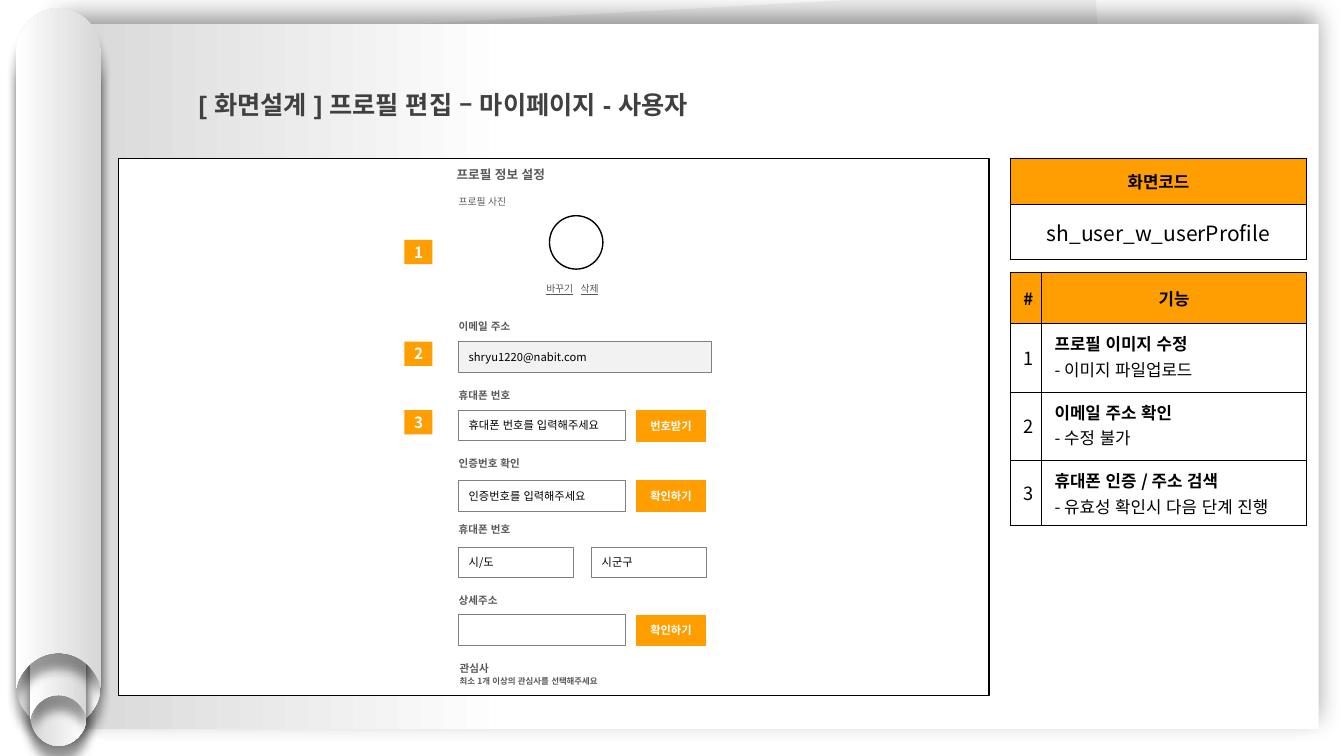
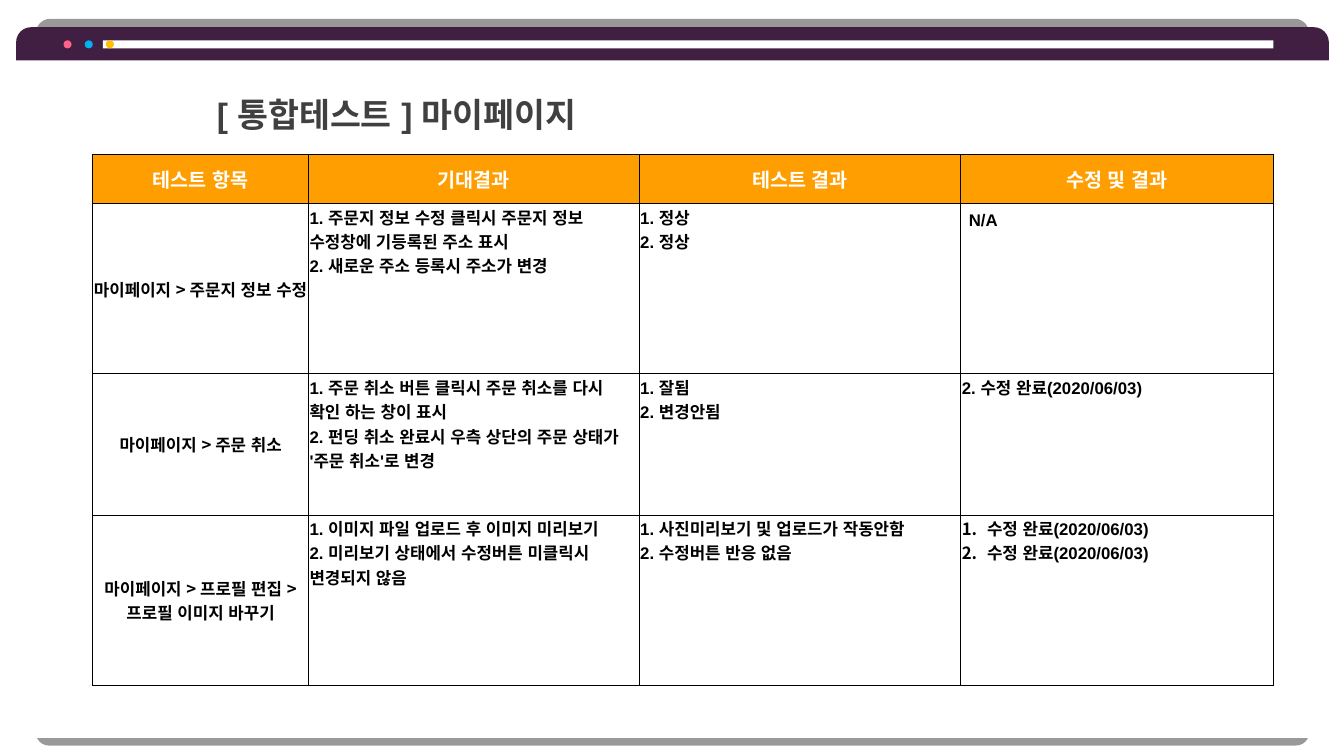
from lxml.etree import SubElement
from pptx import Presentation
from pptx.dml.color import RGBColor
from pptx.enum.shapes import MSO_SHAPE as Kind
from pptx.enum.text import MSO_ANCHOR as Anchor, MSO_AUTO_SIZE as Fit, PP_ALIGN as Align
from pptx.oxml.ns import qn
from pptx.util import Inches, Pt

BLACK = RGBColor(0, 0, 0)
WHITE = RGBColor(255, 255, 255)
ORANGE = RGBColor(0xFF, 0x9E, 0x00)
PALE = RGBColor(0xF2, 0xF2, 0xF2)
SILVER = RGBColor(0xD7, 0xD7, 0xD7)
GRAY = RGBColor(0x80, 0x80, 0x80)
SLATE = RGBColor(0x59, 0x59, 0x59)
DARK = RGBColor(0x40, 0x40, 0x40)
PLUM = RGBColor(0x41, 0x1F, 0x42)
PINK = RGBColor(0xFF, 0x61, 0x89)
BLUE = RGBColor(0x00, 0xB0, 0xF0)
GOLD = RGBColor(0xFF, 0xC0, 0x00)
NOTO = "Noto Sans CJK KR"


def write(frame, text, size=12, color=BLACK, bold=False, align=Align.LEFT,
          face=NOTO, under=False, space=None, number=False):
    for i, line in enumerate(text.split("\n")):
        para = frame.add_paragraph() if i else frame.paragraphs[0]
        para.alignment = align
        props = para._p.get_or_add_pPr()
        if number:
            props.set("marL", str(Inches(0.25)))
            props.set("indent", str(-Inches(0.25)))
            SubElement(props, qn("a:buFont"), typeface="+mj-lt")
            SubElement(props, qn("a:buAutoNum"), type="arabicPeriod")
        if "\t" in line:
            tabs = SubElement(props, qn("a:tabLst"))
            SubElement(tabs, qn("a:tab"), pos=str(Inches(0.34)), algn="l")
        if space:
            para.line_spacing = space
        for part in filter(None, line.partition("\t")):
            run = para.add_run()
            run.text = part
            font = run.font
            font.size, font.bold = Pt(size), bold
            font.underline = under and part != "\t"
            font.color.rgb = color
            font.name = face
            mark = run._r.get_or_add_rPr()
            mark.set("lang", "ko-KR")
            mark.set("kern", "0")
            SubElement(mark, qn("a:ea"), typeface=NOTO)


def paint(shape, fill, line=None, width=1, shade=None):
    if isinstance(fill, list):
        shape.fill.gradient()
        shape.fill.gradient_angle = 180
        for stop, (place, color) in zip(shape.fill.gradient_stops, fill):
            stop.position = place
            stop.color.rgb = color
    else:
        shape.fill.solid()
        shape.fill.fore_color.rgb = fill
    if line is None:
        shape.line.fill.background()
    else:
        shape.line.color.rgb = line
        shape.line.width = Pt(width)
    shape.shadow.inherit = False
    if shade:
        blur, dist, turn, scale = shade
        effect = shape._element.spPr.find(qn("a:effectLst"))
        outer = SubElement(effect, qn("a:outerShdw"), blurRad=str(Pt(blur)),
                           dist=str(Pt(dist)), dir=str(turn * 60000),
                           sx=str(scale * 1000), sy=str(scale * 1000),
                           algn="t", rotWithShape="0")
        tint = SubElement(outer, qn("a:srgbClr"), val=str(BLACK))
        SubElement(tint, qn("a:alpha"), val="40000")
    return shape


deck = Presentation()
deck.slide_width, deck.slide_height = Inches(13.33), Inches(7.5)
pages = [deck.slides.add_slide(deck.slide_layouts[5]) for _ in range(2)]
form, test = [page.shapes for page in pages]

back = paint(form.add_shape(Kind.RECTANGLE, *map(Inches, (0.91, 0.14, 10.15, 6.8))), PALE)
back.rotation = 356.8
paint(form.add_shape(Kind.RECTANGLE, *map(Inches, (0.58, 0.24, 12.5, 6.99))),
      [(0.64, WHITE), (1, SILVER)], shade=(18, 6, 270, 100))

crown = [(0, 0.52), (0, 0.24), (0.23, 0), (0.5, 0), (0.77, 0), (1, 0.24), (1, 0.52)]
notch = [(1, 0), (0.98, 0.08), (0.89, 0.29), (0.71, 0.42), (0.5, 0.42),
         (0.29, 0.42), (0.11, 0.29), (0.02, 0.08), (0, 0)]
for left, top, wide, high, turn in [
    (0.16, 0.48, 0.84, 6.75, 180),
    (0.3, 2.88, 0.56, 4.52, 180),
    (0.3, 2.61, 0.56, 4.52, 0),
    (0.16, 0.08, 0.84, 6.75, 0),
]:
    dots = [(left + x * wide, top + y * wide) for x, y in crown]
    dots += [(left + x * wide, top + high - y * wide) for x, y in notch]
    dots = [(Inches(x), Inches(y)) for x, y in dots]
    pen = form.build_freeform(*dots[0])
    pen.add_line_segments(dots[1:], close=True)
    roll = paint(pen.convert_to_shape(), [(0, SILVER), (1, WHITE)], shade=(7, 11, 90, 100))
    roll.rotation = turn
    steps = list(roll._element.iter(qn("a:lnTo")))
    for first in (0, 3, 8, 11):
        curve = steps[first]
        bend = SubElement(curve.getparent(), qn("a:cubicBezTo"))
        curve.addprevious(bend)
        for step in steps[first:first + 3]:
            bend.append(step[0])
            step.getparent().remove(step)

paint(form.add_shape(Kind.RECTANGLE, *map(Inches, (1.18, 1.57, 8.63, 5.33))),
      WHITE, BLACK, 0.75)
paint(form.add_shape(Kind.OVAL, *map(Inches, (5.45, 2.14, 0.53, 0.53))), WHITE, BLACK)

for left, top, wide, high, text, size, bold, under in [
    (4.45, 1.92, 0.78, 0.15, "프로필 사진", 7, False, False),
    (4.43, 1.66, 1.18, 0.15, "프로필 정보 설정", 9, True, False),
    (5.32, 2.79, 0.96, 0.15, "바꾸기\t삭제", 7, False, True),
    (4.45, 3.16, 0.78, 0.15, "이메일 주소", 7.5, True, False),
    (4.45, 3.85, 0.78, 0.15, "휴대폰 번호", 7.5, True, False),
    (4.45, 4.54, 0.87, 0.11, "인증번호 확인", 7.5, True, False),
    (4.45, 5.18, 0.78, 0.15, "휴대폰 번호", 7.5, True, False),
    (4.45, 5.9, 0.87, 0.11, "상세주소", 7.5, True, False),
    (4.46, 6.57, 0.87, 0.11, "관심사", 7.5, True, False),
    (4.46, 6.7, 2.2, 0.11, "최소 1개 이상의 관심사를 선택해주세요", 6, True, False),
]:
    label = form.add_shape(Kind.RECTANGLE, *map(Inches, (left, top, wide, high)))
    paint(label, WHITE, WHITE)
    write(label.text_frame, text, size=size, color=SLATE, bold=bold, under=under)

for left, top, wide, text, fill in [
    (4.55, 3.39, 2.51, "shryu1220@nabit.com", PALE),
    (4.55, 4.07, 1.65, "휴대폰 번호를 입력해주세요", WHITE),
    (4.55, 4.77, 1.65, "인증번호를 입력해주세요", WHITE),
    (4.55, 5.43, 1.14, "시/도", WHITE),
    (5.87, 5.43, 1.14, "시군구", WHITE),
    (4.55, 6.1, 1.65, "", WHITE),
]:
    field = form.add_shape(Kind.RECTANGLE, *map(Inches, (left, top, wide, 0.3)))
    paint(field, fill, GRAY, 0.5)
    if text:
        write(field.text_frame, text, size=8)

for top, text in [(4.06, "번호받기"), (4.76, "확인하기"), (6.09, "확인하기")]:
    button = form.add_shape(Kind.RECTANGLE, *map(Inches, (6.3, top, 0.71, 0.33)))
    paint(button, ORANGE, WHITE)
    write(button.text_frame, text, size=8, color=WHITE, bold=True, align=Align.CENTER)

for mark, top in enumerate((2.38, 3.39, 4.07), 1):
    badge = form.add_shape(Kind.RECTANGLE, *map(Inches, (4.01, top, 0.28, 0.24)))
    paint(badge, ORANGE)
    write(badge.text_frame, str(mark), size=11, color=WHITE, bold=True, align=Align.CENTER)

sheet = test.add_shape(Kind.ROUND_2_SAME_RECTANGLE, *map(Inches, (0.16, 0.6, 13.02, 6.72)))
sheet.adjustments[0], sheet.adjustments[1] = 0, 0.02
paint(sheet, WHITE, shade=(0, 20, 90, 97))
bar = test.add_shape(Kind.ROUND_2_SAME_RECTANGLE, *map(Inches, (0.16, 0.27, 13.02, 0.33)))
bar.adjustments[0], bar.adjustments[1] = 0.45, 0
paint(bar, PLUM, shade=(0, 6, 270, 97))
paint(test.add_shape(Kind.RECTANGLE, *map(Inches, (1.02, 0.4, 11.61, 0.08))), WHITE)
for i, color in enumerate((PINK, BLUE, GOLD)):
    paint(test.add_shape(Kind.OVAL, *map(Inches, (0.63 + 0.21 * i, 0.4, 0.08, 0.08))), color)

for shapes, at, text, size, pad in [
    (form, (1.9, 0.7, 7.21, 0.53), "[ 화면설계 ] 프로필 편집 – 마이페이지 - 사용자", 18, 0.07),
    (test, (2.05, 0.68, 11.06, 0.71), "[ 통합테스트 ] 마이페이지", 24, 0.1),
]:
    title = shapes.title
    title.left, title.top, title.width, title.height = map(Inches, at)
    frame = title.text_frame
    frame.auto_size = Fit.NONE
    frame.word_wrap = True
    frame.vertical_anchor = Anchor.TOP
    frame.margin_left = frame.margin_right = Inches(pad)
    frame.margin_top = frame.margin_bottom = Inches(pad / 2)
    write(frame, text, size=size, color=DARK, bold=True, face="Arial", space=1.5)
    title._element.getparent().append(title._element)

code = [["화면코드"], ["sh_user_w_userProfile"]]
funcs = [
    ["#", "기능"],
    ["1", "프로필 이미지 수정\n- 이미지 파일업로드"],
    ["2", "이메일 주소 확인\n- 수정 불가"],
    ["3", "휴대폰 인증 / 주소 검색\n- 유효성 확인시 다음 단계 진행"],
]
cases = [
    ["테스트 항목", "기대결과", "테스트 결과", "수정 및 결과"],
    ["마이페이지 > 주문지 정보 수정",
     "1. 주문지 정보 수정 클릭시 주문지 정보 수정창에 기등록된 주소 표시\n"
     "2. 새로운 주소 등록시 주소가 변경",
     "1. 정상\n2. 정상", "N/A"],
    ["마이페이지 > 주문 취소",
     "1. 주문 취소 버튼 클릭시 주문 취소를 다시 확인 하는 창이 표시\n"
     "2. 펀딩 취소 완료시 우측 상단의 주문 상태가 '주문 취소'로 변경",
     "1. 잘됨\n2. 변경안됨", "2. 수정 완료(2020/06/03)"],
    ["마이페이지 > 프로필 편집 > 프로필 이미지 바꾸기",
     "1. 이미지 파일 업로드 후 이미지 미리보기\n"
     "2. 미리보기 상태에서 수정버튼 미클릭시 변경되지 않음",
     "1. 사진미리보기 및 업로드가 작동안함\n2. 수정버튼 반응 없음",
     "수정 완료(2020/06/03)\n수정 완료(2020/06/03)"],
]

for shapes, left, top, cols, rows, data, size, space in [
    (form, 10.02, 1.57, [2.94], [0.46, 0.54], code, 15, None),
    (form, 10.02, 2.7, [0.31, 2.63], [0.51, 0.68, 0.68, 0.63], funcs, 13, Pt(18)),
    (test, 0.92, 1.53, [2.14, 3.28, 3.19, 3.1], [0.49, 1.69, 1.4, 1.69], cases, 12, None),
]:
    box = map(Inches, (left, top, sum(cols), sum(rows)))
    grid = shapes.add_table(len(rows), len(cols), *box).table
    grid.first_row = grid.horz_banding = False
    for col, wide in zip(grid.columns, cols):
        col.width = Inches(wide)
    for row, high in zip(grid.rows, rows):
        row.height = Inches(high)
    full = data is cases
    for r, line in enumerate(data):
        for c, text in enumerate(line):
            cell = grid.cell(r, c)
            props = cell._tc.get_or_add_tcPr()
            for side in ("lnL", "lnR", "lnT", "lnB"):
                edge = SubElement(props, qn("a:" + side), w=str(Pt(0.75)))
                ink = SubElement(edge, qn("a:solidFill"))
                SubElement(ink, qn("a:srgbClr"), val=str(BLACK))
            cell.fill.solid()
            cell.fill.fore_color.rgb = WHITE if r else ORANGE
            pad = (0.13, 0.07) if not full else (0.08, 0.08) if text == "N/A" else (0.01, 0.01)
            cell.margin_left = cell.margin_right = Inches(pad[0])
            cell.margin_top = cell.margin_bottom = Inches(pad[1])
            mid = r == 0 or c == 0
            cell.vertical_anchor = Anchor.MIDDLE if mid else Anchor.TOP
            head = 14 if full else 12
            write(cell.text_frame, text, space=space,
                  size=head if r == 0 else size if mid else 12,
                  color=WHITE if full and r == 0 else BLACK,
                  bold=full or r == 0 or c > 0,
                  align=Align.CENTER if mid else Align.LEFT,
                  face="Arial" if full and not mid else NOTO,
                  number=text.startswith("수정 완료"))
            if data is funcs and not mid:
                cell.text_frame.paragraphs[1].runs[0].font.bold = False

deck.save("out.pptx")
